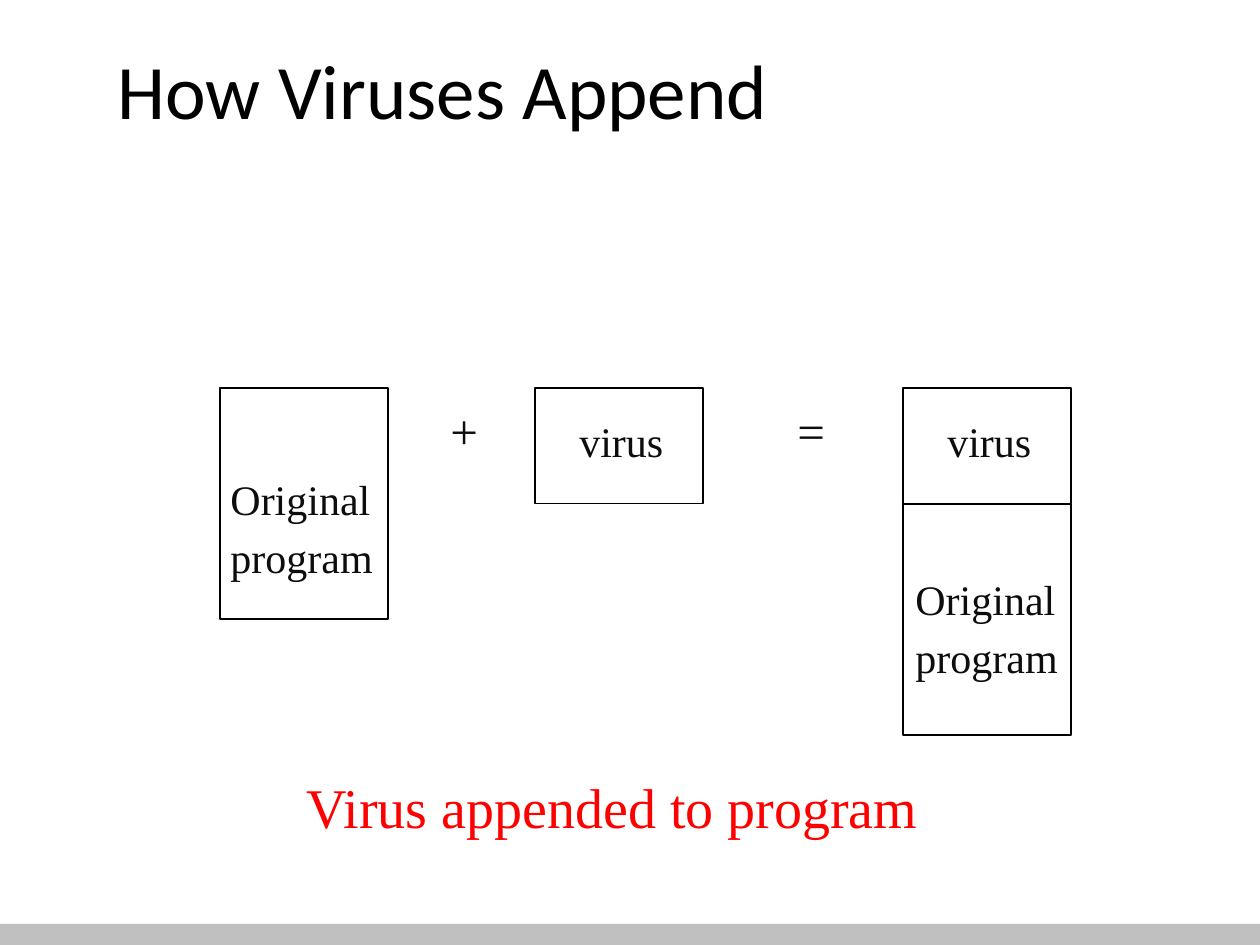
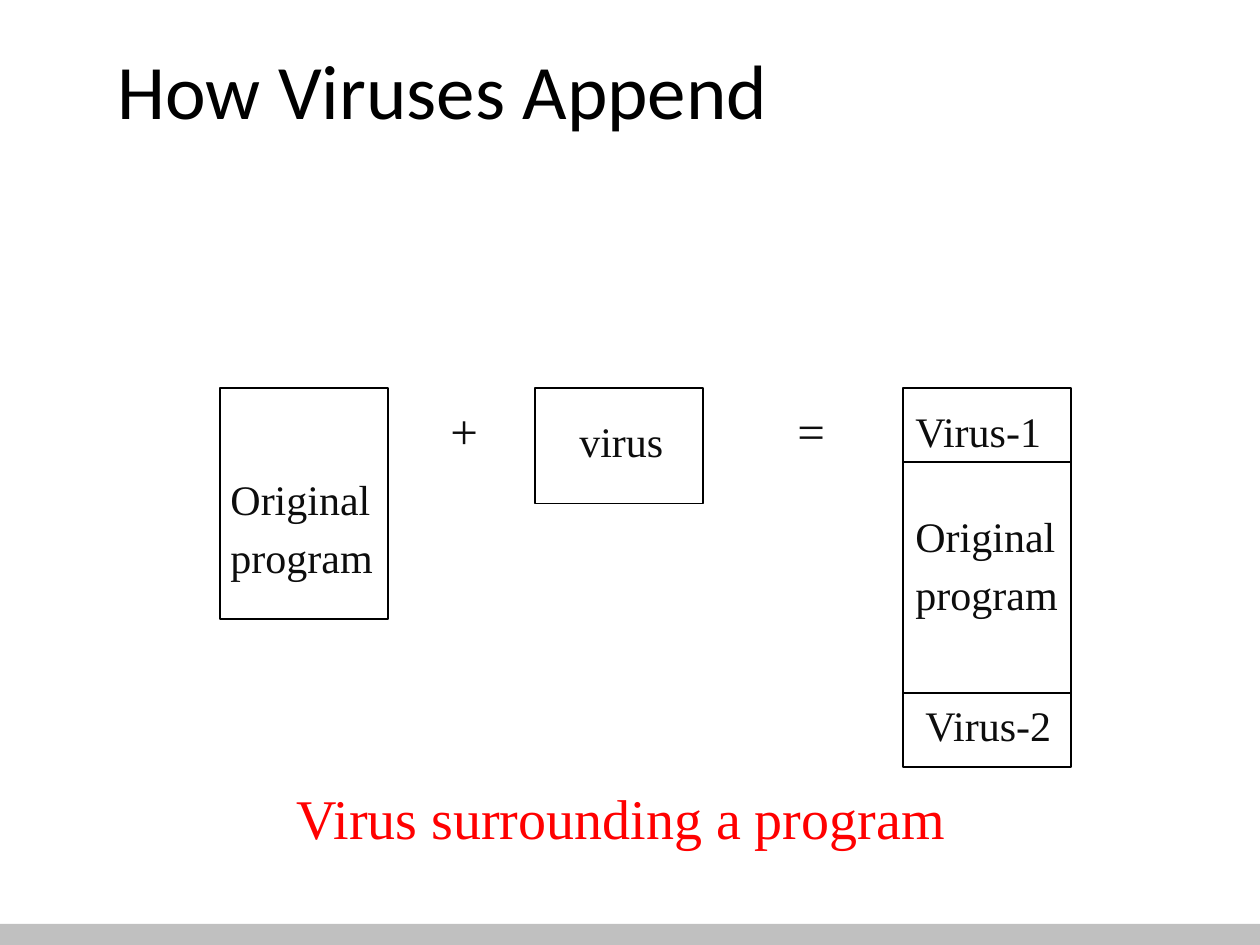
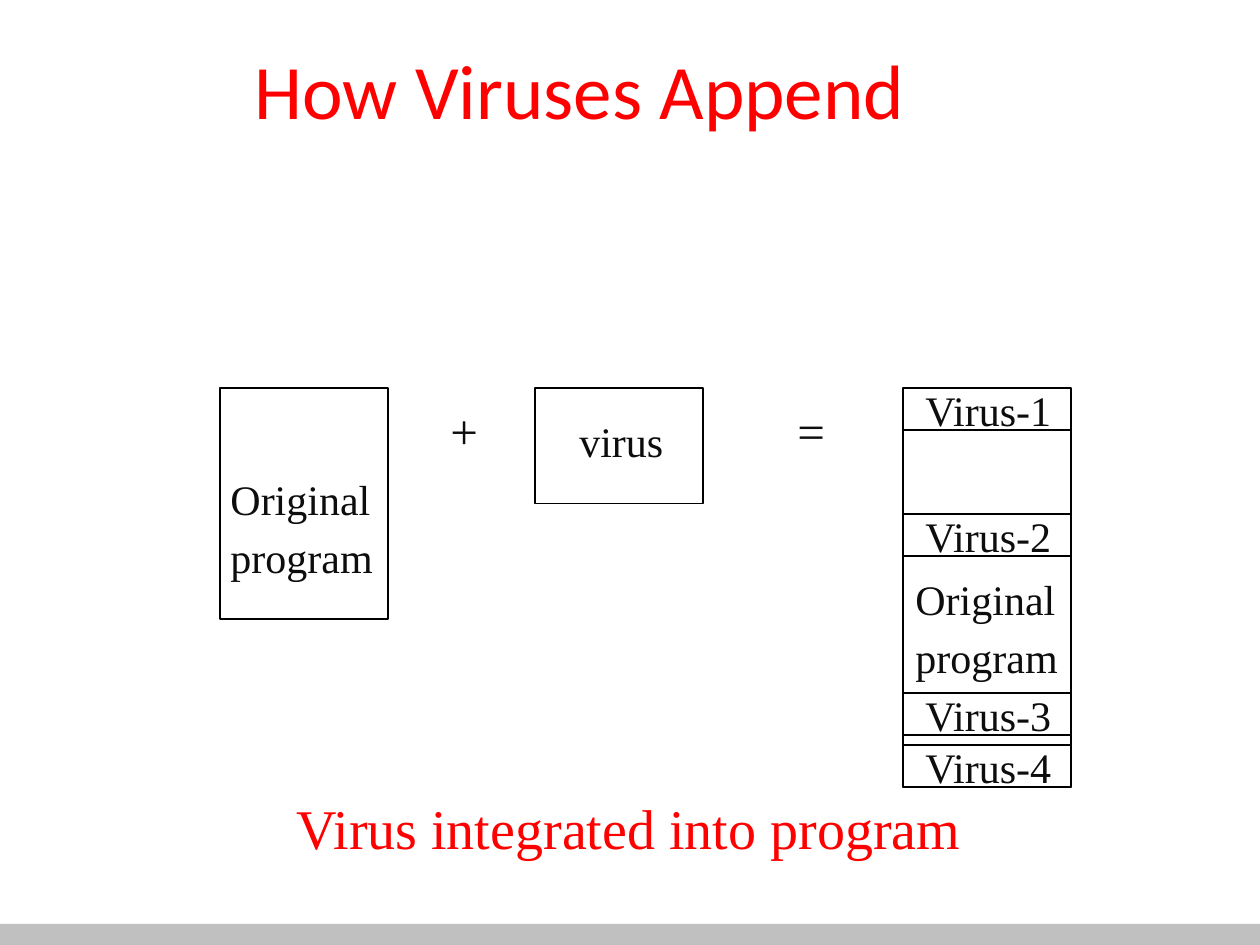
"""Three slides on how viruses append to a program."""
from dataclasses import dataclass

from lxml.etree import SubElement
from pptx import Presentation
from pptx.dml.color import RGBColor
from pptx.enum.shapes import MSO_SHAPE
from pptx.enum.text import MSO_ANCHOR, MSO_AUTO_SIZE, PP_ALIGN
from pptx.oxml.ns import qn
from pptx.util import Pt

PX = 914400 // 126
WIDE, HIGH, BAND = 1260, 945, 21
TOP, BOX = 388, 168
LEFT, MID, RIGHT = 220, 535, 903
PROG = "Original\nprogram"


@dataclass(frozen=True)
class Theme:
    """Colours, fonts and type sizes."""
    black: str = "000000"
    ink: str = "0D0D0D"
    red: str = "FF0000"
    grey: str = "C0C0C0"
    head: str = "Calibri"
    body: str = "Times New Roman"
    title: int = 44
    note: int = 32
    sign: int = 28
    label: int = 24
    rule: float = 0.75


THEME = Theme()
WIDTHS = {PROG: 169, "virus": 111}
TALL = {THEME.label: 64, THEME.sign: 72, THEME.note: 81}

# Each part: text, left, top, height, label shift right, label shift down
INPUTS = [(PROG, LEFT, TOP, 231, -2, 79), ("virus", MID, TOP, 116, 32, 21)]
SIGNS = [("+", 438), ("=", 785)]
SLIDES = [
    {"title": (105, 1134, THEME.black),
     "note": ("Virus appended to program", 294, 766, 643),
     "parts": [(PROG, RIGHT, 504, 231, 0, 63),
               ("virus", RIGHT, TOP, 116, 32, 21)]},
    {"title": (105, 1134, THEME.black),
     "note": ("Virus surrounding a program", 284, 777, 701),
     "parts": [(PROG, RIGHT, 462, 231, 0, 42),
               ("Virus-1", RIGHT, TOP, 74, 0, 11),
               ("Virus-2", RIGHT, 693, 74, 10, 0)]},
    {"title": (242, 998, THEME.red),
     "note": ("Virus integrated into program", 284, 787, 716),
     "parts": [(PROG, RIGHT, 430, 357, 0, 137)]
     + [(f"Virus-{n}", RIGHT, y, 42, 10, -10)
        for n, y in enumerate((TOP, 514, 693, 745), 1)]},
]


def scale(*px):
    """Turn px lengths into EMU."""
    return [n * PX for n in px]


def write(para, text, size, font, tint):
    """Add one styled run."""
    run = para.add_run()
    run.text = text
    run.font.size, run.font.name = Pt(size), font
    run.font.color.rgb = RGBColor.from_string(tint)


def add_text(shapes, text, x, y, w, size, tint=THEME.ink):
    """Add a text box with one paragraph per line."""
    lines = text.split("\n")
    high = TALL[size] + 61 * (len(lines) - 1)
    frame = shapes.add_textbox(*scale(x, y, w, high)).text_frame
    frame.word_wrap = False
    frame.auto_size = MSO_AUTO_SIZE.SHAPE_TO_FIT_TEXT
    for i, line in enumerate(lines):
        para = frame.add_paragraph() if i else frame.paragraphs[0]
        gap = SubElement(para._p.get_or_add_pPr(), qn("a:spcBef"))
        SubElement(gap, qn("a:spcPct")).set("val", "20000")
        write(para, line, size, THEME.body, tint)


def add_rect(shapes, *area):
    """Add a plain rectangle."""
    rect = shapes.add_shape(MSO_SHAPE.RECTANGLE, *scale(*area))
    rect.shadow.inherit = False
    return rect


def add_part(shapes, text, x, y, high, dx, dy):
    """Add an outlined box and its label."""
    rect = add_rect(shapes, x, y, BOX, high)
    rect.fill.background()
    rect.line.color.rgb = RGBColor.from_string(THEME.black)
    rect.line.width = Pt(THEME.rule)
    add_text(shapes, text, x + dx, y + dy, WIDTHS.get(text, 152), THEME.label)


def add_title(slide, x, w, tint):
    """Place and style the title."""
    title = slide.shapes.title
    title.left, title.top, title.width, title.height = scale(x, 10, w, 158)
    frame = title.text_frame
    frame.vertical_anchor = MSO_ANCHOR.MIDDLE
    para = frame.paragraphs[0]
    para.alignment = PP_ALIGN.LEFT
    write(para, "How Viruses Append", THEME.title, THEME.head, tint)


def add_band(master, slide):
    """Draw the foot band and move it to the master."""
    band = add_rect(slide.shapes, 0, HIGH - BAND, WIDE, BAND)
    band.fill.solid()
    band.fill.fore_color.rgb = RGBColor.from_string(THEME.grey)
    band.line.fill.background()
    band.element.nvSpPr.cNvPr.set("id", "20")
    master.shapes.element.append(band.element)


def main():
    """Build the deck."""
    prs = Presentation()
    prs.slide_width, prs.slide_height = scale(WIDE, HIGH)
    for i, page in enumerate(SLIDES):
        slide = prs.slides.add_slide(prs.slide_layouts[5])
        if i == 0:
            add_band(prs.slide_master, slide)
        add_title(slide, *page["title"])
        shapes = slide.shapes
        for part in INPUTS + page["parts"]:
            add_part(shapes, *part)
        for sign, x in SIGNS:
            add_text(shapes, sign, x, 394, 53, THEME.sign)
        add_text(shapes, *page["note"], THEME.note, THEME.red)
    prs.save("out.pptx")


if __name__ == "__main__":
    main()
